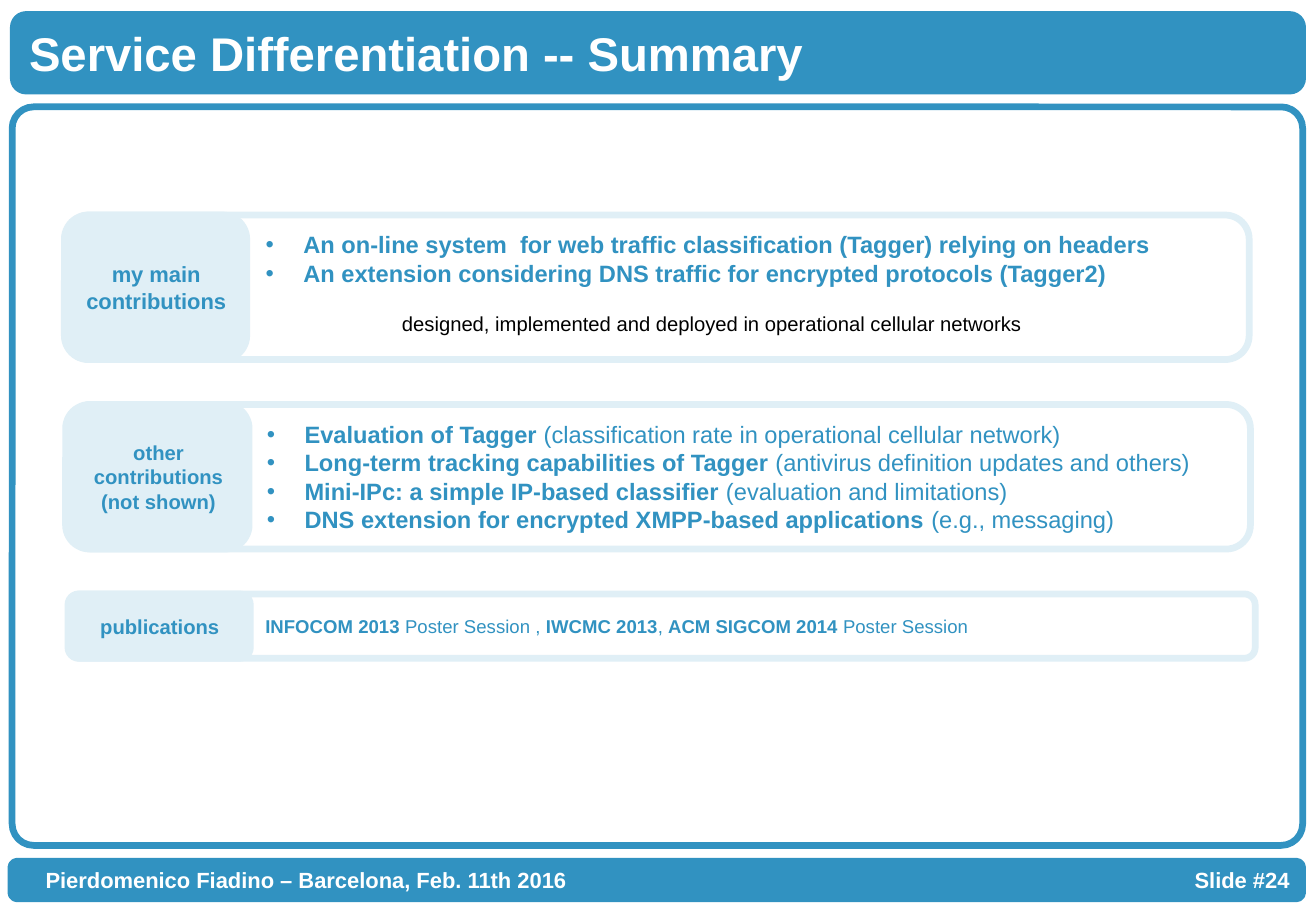
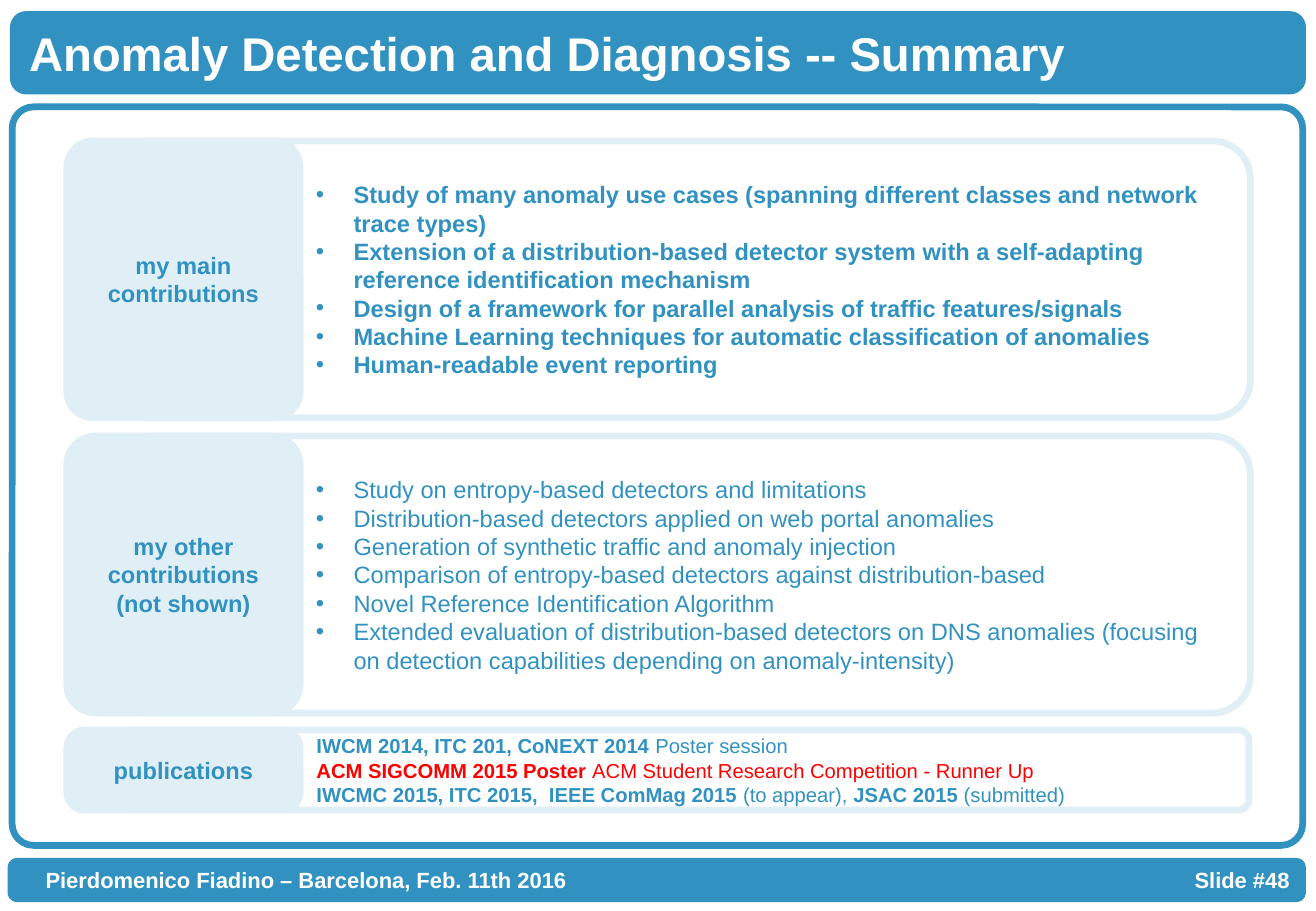
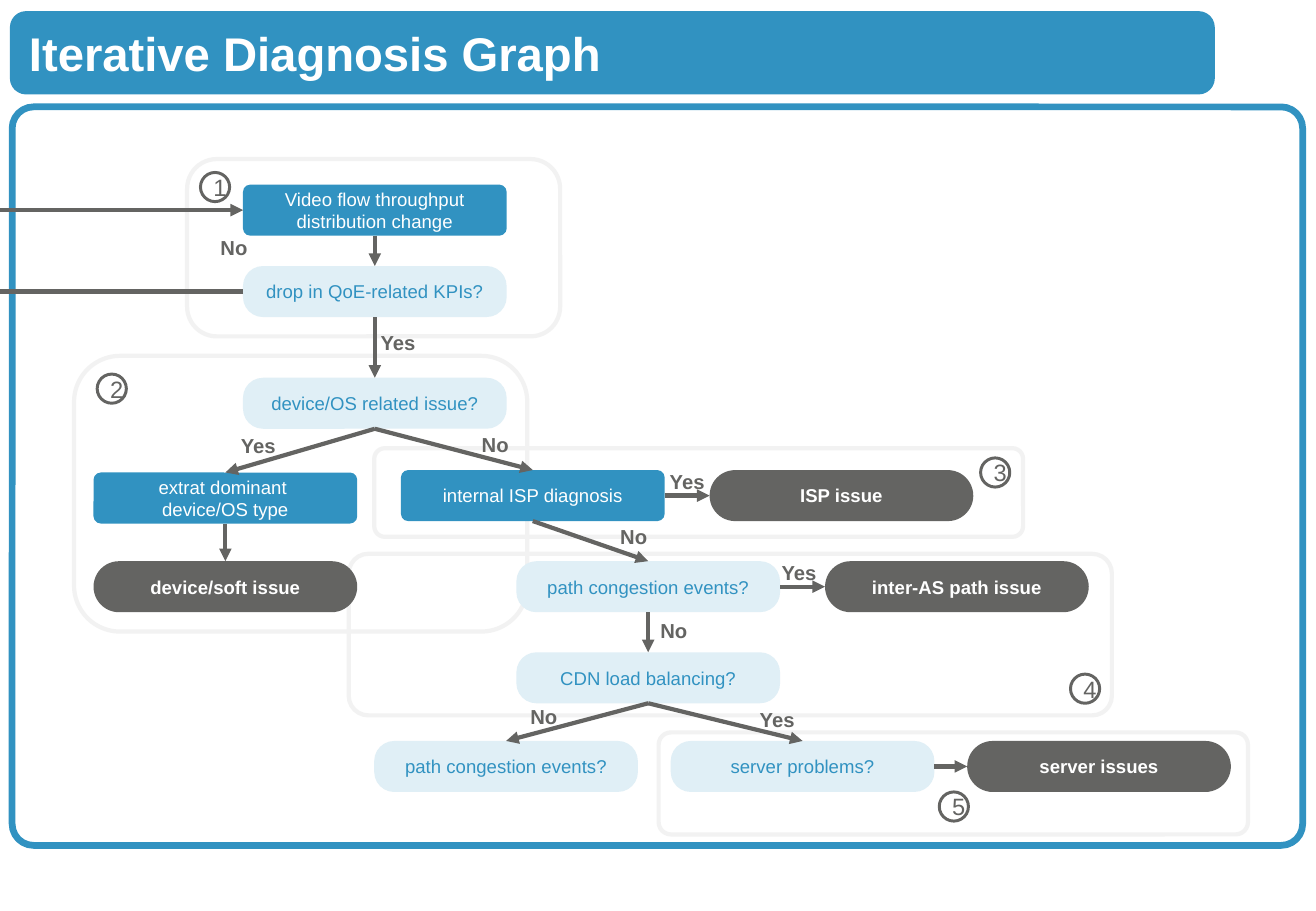
"""Builds three slides on traffic classification and anomaly diagnosis."""
from dataclasses import dataclass

from lxml import etree
from pptx import Presentation
from pptx.dml.color import RGBColor
from pptx.enum.shapes import MSO_CONNECTOR, MSO_SHAPE
from pptx.enum.text import MSO_ANCHOR, PP_ALIGN
from pptx.oxml.ns import qn
from pptx.util import Inches, Pt

ROUNDED, ELLIPSE = MSO_SHAPE.ROUNDED_RECTANGLE, MSO_SHAPE.OVAL
STRAIGHT = MSO_CONNECTOR.STRAIGHT
LEFT, CENTER, RIGHT = PP_ALIGN.LEFT, PP_ALIGN.CENTER, PP_ALIGN.RIGHT
MIDDLE, TOP_ANCHOR = MSO_ANCHOR.MIDDLE, MSO_ANCHOR.TOP
TOP, WEST, BOTTOM, EAST = range(4)


@dataclass(frozen=True)
class Theme:
    """Colours, font and sizes shared by all slides."""
    font: str = "Arial"
    blue: str = "3192C1"
    pale: str = "E0EFF6"
    gray: str = "646462"
    light: str = "F2F2F2"
    white: str = "FFFFFF"
    black: str = "000000"
    red: str = "FF0000"
    title: int = 28
    body: int = 14
    footer: int = 13
    small: int = 12
    node: int = 11
    band_line: float = 4
    flow_line: float = 2.5
    badge_line: float = 1.75


THEME = Theme()
NODE_WIDTH, NODE_HEIGHT = 2.17, 0.42
NODE_STYLES = {
    "action": dict(fill=THEME.blue, corner=0.142, color=THEME.white),
    "question": dict(fill=THEME.pale, corner=0.392, color=THEME.blue),
    "result": dict(fill=THEME.gray, corner=0.5, color=THEME.white, bold=True),
}


def write(shape, paragraphs, size, color, bold=False, align=LEFT, anchor=MIDDLE,
          indent=0, hanging=0, wrap=True):
    """Fill a shape with paragraphs, each a string or a list of (text, format) runs."""
    frame = shape.text_frame
    frame.word_wrap = wrap
    frame.vertical_anchor = anchor
    for index, content in enumerate(paragraphs):
        paragraph = frame.paragraphs[0] if index == 0 else frame.add_paragraph()
        paragraph.alignment = align
        properties = paragraph._p.get_or_add_pPr()
        properties.set("marL", str(Inches(indent)))
        properties.set("indent", str(-Inches(hanging)))
        if hanging:
            etree.SubElement(properties, qn("a:buFont"), typeface=THEME.font)
            etree.SubElement(properties, qn("a:buChar"), char="•")
        runs = [(content, {})] if isinstance(content, str) else content
        for text, changes in runs:
            run = paragraph.add_run()
            run.text = text
            run.font.name = THEME.font
            run.font.size = Pt(size)
            run.font.bold = changes.get("bold", bold)
            run.font.color.rgb = RGBColor.from_string(changes.get("color", color))


def add_box(slide, box, fill=None, line=None, width=THEME.band_line, corner=None, kind=ROUNDED):
    """Add a preset shape with the given fill, outline and corner."""
    shape = slide.shapes.add_shape(kind, *map(Inches, box))
    shape.shadow.inherit = False
    if corner is not None:
        shape.adjustments[0] = corner
    if fill:
        shape.fill.solid()
        shape.fill.fore_color.rgb = RGBColor.from_string(fill)
    else:
        shape.fill.background()
    if line:
        shape.line.color.rgb = RGBColor.from_string(line)
        shape.line.width = Pt(width)
    else:
        shape.line.fill.background()
    return shape


def add_label(slide, box, text, size, color, **text_format):
    """Add a plain text box."""
    shape = slide.shapes.add_textbox(*map(Inches, box))
    write(shape, [text], size, color, **text_format)


def add_title(slide, text, width=10.61):
    """Add the title band."""
    band = add_box(slide, (0.11, 0.12, width, 0.63), THEME.blue, THEME.blue)
    write(band, [text], THEME.title, THEME.white, bold=True)


def add_body_frame(slide):
    """Add the outline around the slide body."""
    add_box(slide, (0.1, 0.88, 10.62, 6.08), line=THEME.blue, corner=0.029)


def add_footer(slide, number):
    """Add the footer band with the author on the left and the number on the right."""
    band = add_box(slide, (0.09, 7.09, 10.63, 0.31), THEME.blue, THEME.blue)
    band.text_frame.margin_left = Inches(0.27)
    write(band, ["Pierdomenico Fiadino – Barcelona, Feb. 11th 2016"],
          THEME.footer, THEME.white, bold=True)
    add_label(slide, (8.71, 7.09, 2, 0.31), f"Slide #{number}",
              THEME.footer, THEME.white, bold=True, align=RIGHT)


def add_panel(slide, box, tab_box, heading, heading_size, paragraphs, size=THEME.body,
              bold=False, bullets=True, corners=(None, None), space_below=0.05):
    """Add an outlined panel with a filled heading tab on its left."""
    panel = add_box(slide, box, line=THEME.pale, corner=corners[0])
    panel.text_frame.margin_bottom = Inches(space_below)
    indent, hanging = (1.81, 0.31) if bullets else (1.5, 0)
    write(panel, paragraphs, size, THEME.blue, bold=bold, indent=indent, hanging=hanging)
    tab = add_box(slide, tab_box, THEME.pale, THEME.pale, corner=corners[1])
    write(tab, heading, heading_size, THEME.blue, bold=True, align=CENTER)


def add_node(slide, style, left, top, *lines):
    """Add a flow chart node in one of the node styles."""
    look = NODE_STYLES[style]
    node = add_box(slide, (left, top, NODE_WIDTH, NODE_HEIGHT), look["fill"],
                   corner=look["corner"])
    write(node, lines, THEME.node, look["color"], bold=look.get("bold", False), align=CENTER)
    return node


def add_flow(slide, start=(0, 0), end=(0, 0), source=None, target=None, arrow=True):
    """Add a flow line between points, or between (node, side) pairs."""
    connector = slide.shapes.add_connector(STRAIGHT, *map(Inches, (*start, *end)))
    if source:
        connector.begin_connect(*source)
    if target:
        connector.end_connect(*target)
    connector.line.color.rgb = RGBColor.from_string(THEME.gray)
    connector.line.width = Pt(THEME.flow_line)
    if arrow:
        etree.SubElement(connector.line._get_or_add_ln(), qn("a:tailEnd"), type="triangle")
    etree.SubElement(connector._element.spPr, qn("a:effectLst"))


def bold_lead(lead, rest):
    """Return a bold run followed by a regular one."""
    return [(lead, {"bold": True}), (rest, {})]


def build_service_summary(slide):
    """Build the service differentiation summary."""
    add_body_frame(slide)
    add_title(slide, "Service Differentiation -- Summary")
    add_panel(slide, (0.56, 4.89, 9.77, 0.53), (0.57, 4.89, 1.49, 0.53),
              ["publications"], THEME.small,
              [bold_lead("INFOCOM 2013", " Poster Session , ")
               + bold_lead("IWCMC 2013", ", ")
               + bold_lead("ACM SIGCOM 2014", " Poster Session")],
              size=THEME.node, bullets=False)
    add_panel(slide, (0.54, 3.33, 9.75, 1.19), (0.56, 3.33, 1.49, 1.19),
              ["other contributions (not shown)"], THEME.small, [
                  bold_lead("Evaluation of Tagger ",
                            "(classification rate in operational cellular network)"),
                  bold_lead("Long-term tracking capabilities of Tagger ",
                            "(antivirus definition updates and others)"),
                  bold_lead("Mini-IPc: a simple IP-based classifier ",
                            "(evaluation and limitations)"),
                  bold_lead("DNS extension for encrypted XMPP-based applications",
                            " (e.g., messaging)")])
    add_panel(slide, (0.53, 1.77, 9.75, 1.19), (0.54, 1.77, 1.49, 1.19),
              ["my main", "contributions"], THEME.footer, [
                  "An on-line system  for web traffic classification (Tagger) relying on headers",
                  "An extension considering DNS traffic for encrypted protocols (Tagger2)"],
              bold=True, space_below=0.52)
    add_label(slide, (3.21, 2.51, 5.33, 0.3),
              "designed, implemented and deployed in operational cellular networks",
              THEME.small, THEME.black, anchor=TOP_ANCHOR, wrap=False)
    add_footer(slide, 24)


def build_anomaly_summary(slide):
    """Build the anomaly detection summary."""
    add_body_frame(slide)
    add_title(slide, "Anomaly Detection and Diagnosis -- Summary")
    add_panel(slide, (0.91, 3.59, 9.38, 2.28), (0.55, 3.59, 1.92, 2.28),
              ["my other contributions (not shown)"], THEME.body, [
                  "Study on entropy-based detectors and limitations",
                  "Distribution-based detectors applied on web portal anomalies",
                  "Generation of synthetic traffic and anomaly injection",
                  "Comparison of entropy-based detectors against distribution-based",
                  "Novel Reference Identification Algorithm",
                  "Extended evaluation of distribution-based detectors on DNS anomalies "
                  "(focusing on detection capabilities depending on anomaly-intensity)"],
              corners=(0.137, 0.123))
    add_panel(slide, (0.91, 1.16, 9.38, 2.28), (0.55, 1.16, 1.92, 2.28),
              ["my main", "contributions"], THEME.body, [
                  "Study of many anomaly use cases (spanning different classes and network "
                  "trace types)",
                  "Extension of a distribution-based detector system with a self-adapting "
                  "reference identification mechanism",
                  "Design of a framework for parallel analysis of traffic features/signals",
                  "Machine Learning techniques for automatic classification of anomalies",
                  "Human-readable event reporting"],
              bold=True, corners=(0.137, 0.113))
    add_panel(slide, (0.98, 6.01, 9.3, 0.66), (0.55, 6.01, 1.92, 0.66),
              ["publications"], THEME.body, [
                  bold_lead("IWCM 2014, ITC 201, CoNEXT 2014 ", "Poster session"),
                  [("ACM SIGCOMM 2015 Poster ", {"bold": True, "color": THEME.red}),
                   ("ACM Student Research Competition - Runner Up", {"color": THEME.red})],
                  bold_lead("IWCMC 2015, ITC 2015,  IEEE ComMag 2015 ", "(to appear), ")
                  + bold_lead("JSAC 2015 ", "(submitted)")],
              size=THEME.small, bullets=False, corners=(0.137, 0.221))
    add_footer(slide, 48)


def build_diagnosis_graph(slide):
    """Build the iterative diagnosis flow chart."""
    stages = [
        ((0.61, 2.93, 3.73, 2.27), None),
        ((3.08, 3.69, 5.34, 0.73), 0.121),
        ((2.87, 4.56, 6.28, 1.33), 0.121),
        ((5.42, 6.03, 4.85, 0.84), 0.121),
        ((1.54, 1.31, 3.07, 1.46), None),
    ]
    for box, corner in stages:
        add_box(slide, box, line=THEME.light, width=THEME.flow_line, corner=corner)
    add_title(slide, "Iterative Diagnosis Graph", width=9.86)
    add_body_frame(slide)

    change = add_node(slide, "action", 2, 1.52, "Video flow throughput distribution change")
    drop = add_node(slide, "question", 2, 2.19, "drop in QoE-related KPIs?")
    device = add_node(slide, "question", 2, 3.11, "device/OS related issue?")
    extract = add_node(slide, "action", 0.77, 3.89, "extrat dominant ", "device/OS type")
    device_issue = add_node(slide, "result", 0.77, 4.62, "device/soft issue")
    internal = add_node(slide, "action", 3.3, 3.87, "internal ISP diagnosis")
    isp_issue = add_node(slide, "result", 5.84, 3.87, "ISP issue")
    path = add_node(slide, "question", 4.25, 4.62, "path congestion events?")
    path_issue = add_node(slide, "result", 6.79, 4.62, "inter-AS path issue")
    balancing = add_node(slide, "question", 4.25, 5.37, "CDN load balancing?")
    path_again = add_node(slide, "question", 3.08, 6.1, "path congestion events?")
    server = add_node(slide, "question", 5.52, 6.1, "server problems?")
    server_issue = add_node(slide, "result", 7.96, 6.1, "server issues")

    downward = [(change, drop), (drop, device), (device, extract), (device, internal),
                (extract, device_issue), (internal, path), (path, balancing),
                (balancing, path_again), (balancing, server)]
    for source, target in downward:
        add_flow(slide, source=(source, BOTTOM), target=(target, TOP))
    sideways = [(internal, isp_issue), (path, path_issue), (server, server_issue)]
    for source, target in sideways:
        add_flow(slide, source=(source, EAST), target=(target, WEST))
    add_flow(slide, end=(0, 2.4), source=(drop, WEST), arrow=False)
    add_flow(slide, start=(0, 1.73), target=(change, WEST))

    answers = {
        "No": [(1.57, 1.88), (3.72, 3.5), (4.86, 4.26), (5.19, 5.03), (4.12, 5.74)],
        "Yes": [(2.92, 2.66), (1.77, 3.51), (5.3, 3.8), (6.22, 4.55), (6.04, 5.76)],
    }
    for answer, places in answers.items():
        for left, top in places:
            add_label(slide, (left, top, 0.71, 0.32), answer, THEME.small, THEME.gray,
                      bold=True, align=CENTER)
    badges = [(1.65, 1.42), (0.8, 3.08), (8.07, 3.77), (8.81, 5.55), (7.73, 6.52)]
    for number, (left, top) in enumerate(badges, start=1):
        badge = add_box(slide, (left, top, 0.24, 0.24), THEME.white, THEME.gray,
                        width=THEME.badge_line, kind=ELLIPSE)
        write(badge, [str(number)], THEME.body, THEME.gray, align=CENTER)


def main():
    """Build and save the presentation."""
    presentation = Presentation()
    presentation.slide_width, presentation.slide_height = Inches(10.83), Inches(7.5)
    blank = presentation.slide_layouts[6]
    for build in (build_service_summary, build_anomaly_summary, build_diagnosis_graph):
        build(presentation.slides.add_slide(blank))
    presentation.save("out.pptx")


if __name__ == "__main__":
    main()
